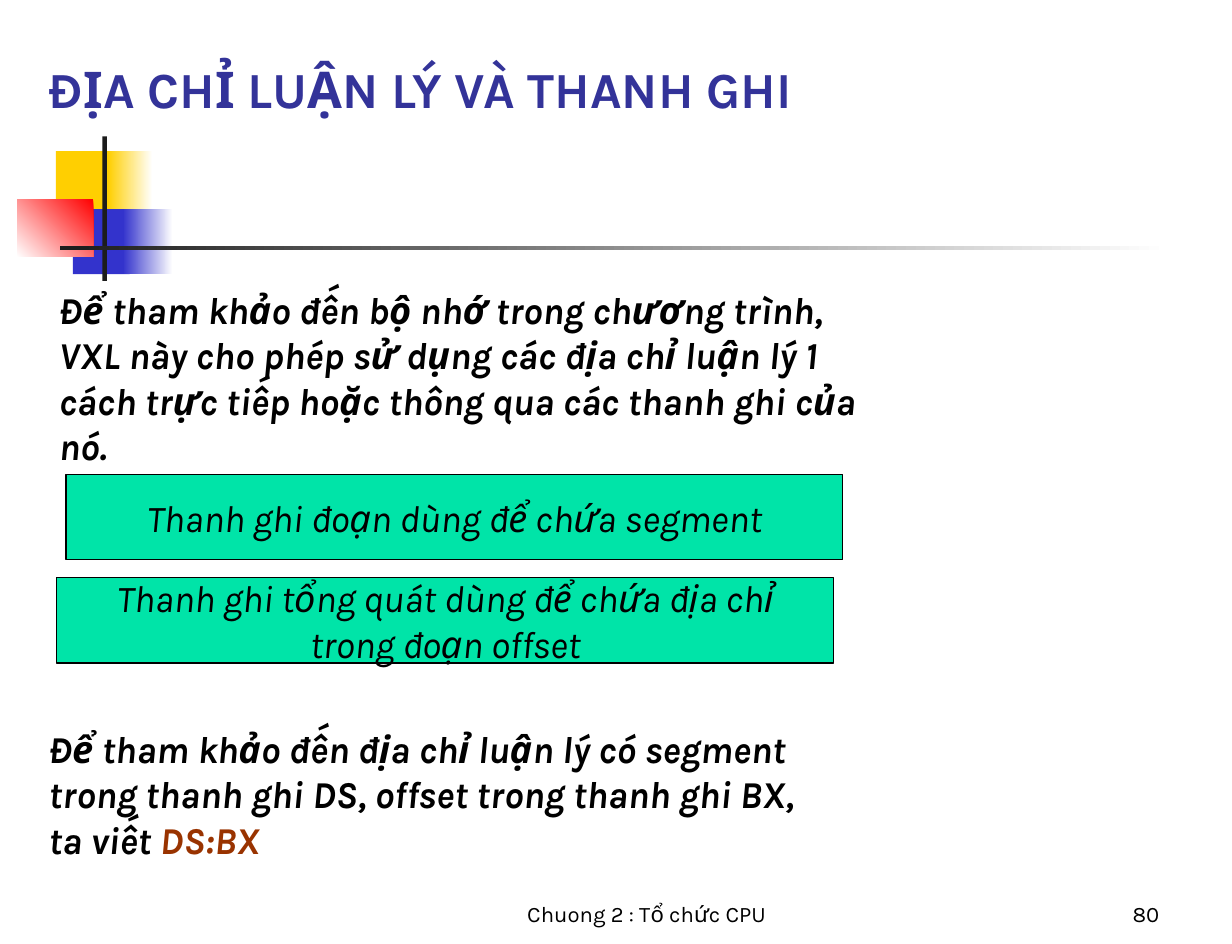
from pptx import Presentation
from pptx.dml.color import RGBColor
from pptx.enum.shapes import MSO_SHAPE
from pptx.enum.text import MSO_ANCHOR, PP_ALIGN
from pptx.util import Inches, Pt

RECT = MSO_SHAPE.RECTANGLE
TOP, MIDDLE, BOTTOM = MSO_ANCHOR.TOP, MSO_ANCHOR.MIDDLE, MSO_ANCHOR.BOTTOM
LEFT, CENTER, RIGHT = PP_ALIGN.LEFT, PP_ALIGN.CENTER, PP_ALIGN.RIGHT


def rgb(value):
    return RGBColor.from_string(value)


def write(sp, lines, size, color="000000", bold=False, italic=False,
          align=LEFT, anchor=TOP, wrap=True):
    tf = sp.text_frame
    tf.word_wrap = wrap
    tf.vertical_anchor = anchor
    tf.text = "\n".join(lines)
    for p in tf.paragraphs:
        p.alignment = align
        p.font.name = "Karla"
        p.font.size = Pt(size)
        p.font.bold = bold
        p.font.italic = italic
        p.font.color.rgb = rgb(color)
    return tf


prs = Presentation()
prs.slide_width, prs.slide_height = Inches(10.83), Inches(8.3)
s = prs.slides.add_slide(prs.slide_layouts[6])

# Corner ornament: box, gradient start and end colours, counter-clockwise angle
ornament = [
    ((0.49, 1.33, 0.52, 0.57), "FFCF01", "FFCF01", 0),
    ((0.95, 1.33, 0.39, 0.57), "FFFFFF", "FFCF01", 180),
    ((0.64, 1.84, 0.5, 0.57), "3333CC", "3333CC", 0),
    ((1.08, 1.84, 0.44, 0.57), "FFFFFF", "3333CC", 180),
    ((0.15, 1.75, 0.67, 0.51), "FF0000", "FFFFFF", 225),
    ((0.9, 1.2, 0.04, 1.27), "1C1C1C", "1C1C1C", 0),
    ((0.53, 2.16, 9.74, 0.04), "FFFFFF", "1C1C1C", 180),
]
for box, start, end, angle in ornament:
    sp = s.shapes.add_shape(RECT, *map(Inches, box))
    sp.shadow.inherit = False
    sp.line.fill.background()
    if start == end:
        sp.fill.solid()
        sp.fill.fore_color.rgb = rgb(start)
    else:
        sp.fill.gradient()
        sp.fill.gradient_angle = angle
        for stop, color in zip(sp.fill.gradient_stops, (start, end)):
            stop.color.rgb = rgb(color)

# Title
title = s.shapes.add_textbox(Inches(0.33), Inches(0.42), Inches(9.23), Inches(0.67))
write(title, ["ĐỊA CHỈ LUẬN LÝ VÀ THANH GHI"], 32, "333399", bold=True, anchor=BOTTOM)

# Introduction
intro = s.shapes.add_textbox(Inches(0.42), Inches(2.47), Inches(7.33), Inches(1.7))
write(intro, ["Để tham khảo đến bộ nhớ trong chương trình, VXL này cho phép sử dụng "
              "các địa chỉ luận lý 1 cách trực tiếp hoặc thông qua các thanh ghi của nó."],
      24, bold=True, italic=True)

# Register boxes
registers = [
    (0.58, 4.17, ["Thanh ghi đoạn dùng để chứa segment"]),
    (0.5, 5.08, ["Thanh ghi tổng quát dùng để chứa địa chỉ", "trong đoạn offset"]),
]
for x, y, lines in registers:
    sp = s.shapes.add_shape(RECT, Inches(x), Inches(y), Inches(6.83), Inches(0.75))
    sp.shadow.inherit = False
    sp.fill.solid()
    sp.fill.fore_color.rgb = rgb("00E4A8")
    sp.line.color.rgb = rgb("000000")
    sp.line.width = Pt(0.75)
    write(sp, lines, 24, italic=True, align=CENTER, anchor=MIDDLE, wrap=False)

# Example with the register pair highlighted
example = s.shapes.add_textbox(Inches(0.33), Inches(6.33), Inches(6.75), Inches(1.3))
tf = write(example, ["Để tham khảo đến địa chỉ luận lý có segment trong thanh ghi DS, "
                     "offset trong thanh ghi BX, ta viết "], 24, bold=True, italic=True)
r = tf.paragraphs[0].add_run()
r.text = "DS:BX"
r.font.color.rgb = rgb("993300")

# Footer and slide number
for x, width, text, align in [(3.97, 3.43, "Chuong 2 : Tổ chức CPU", CENTER),
                              (8.03, 2.26, "80", RIGHT)]:
    footer = s.shapes.add_textbox(Inches(x), Inches(7.65), Inches(width), Inches(0.55))
    write(footer, [text], 14, align=align, anchor=BOTTOM)

prs.save("out.pptx")
